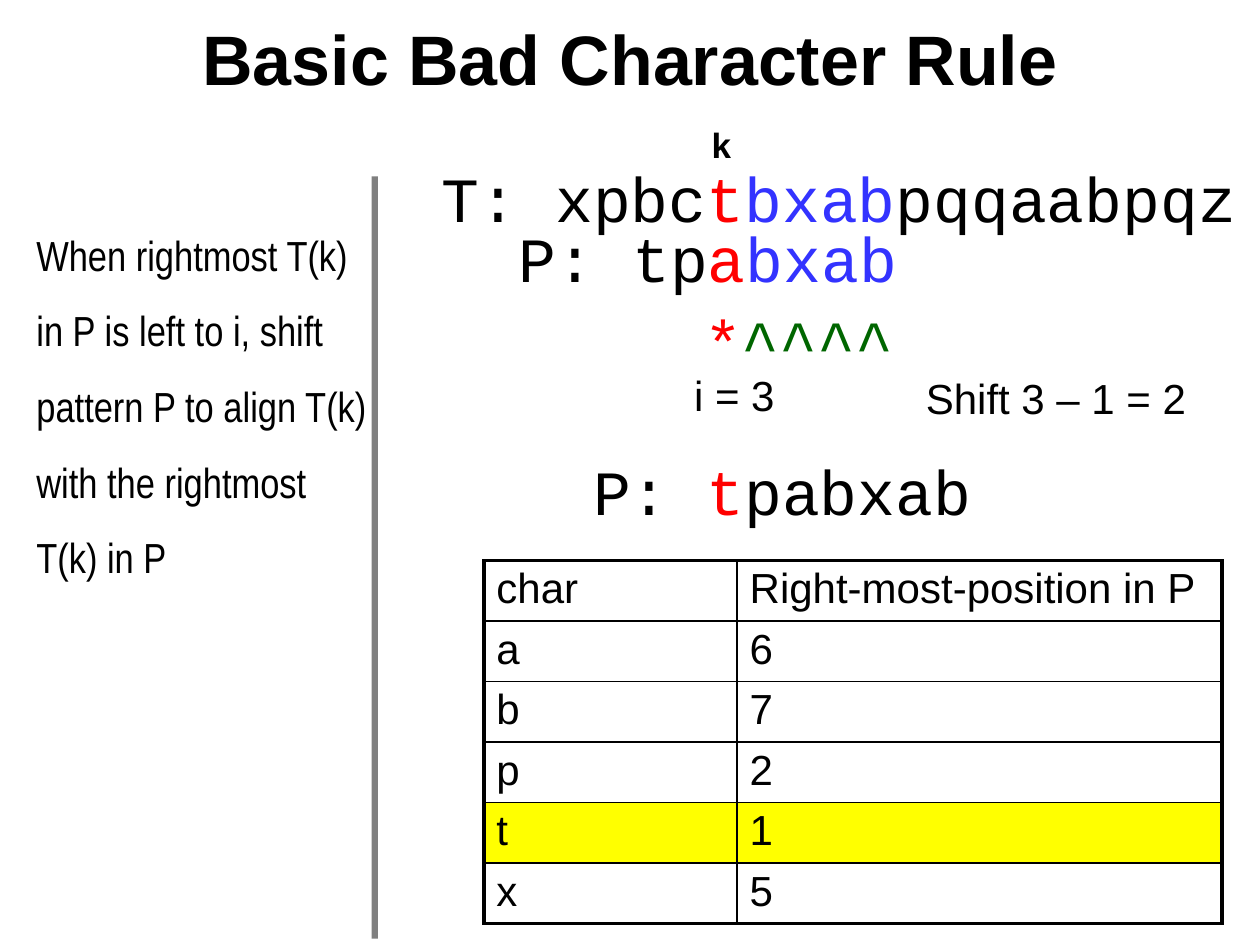
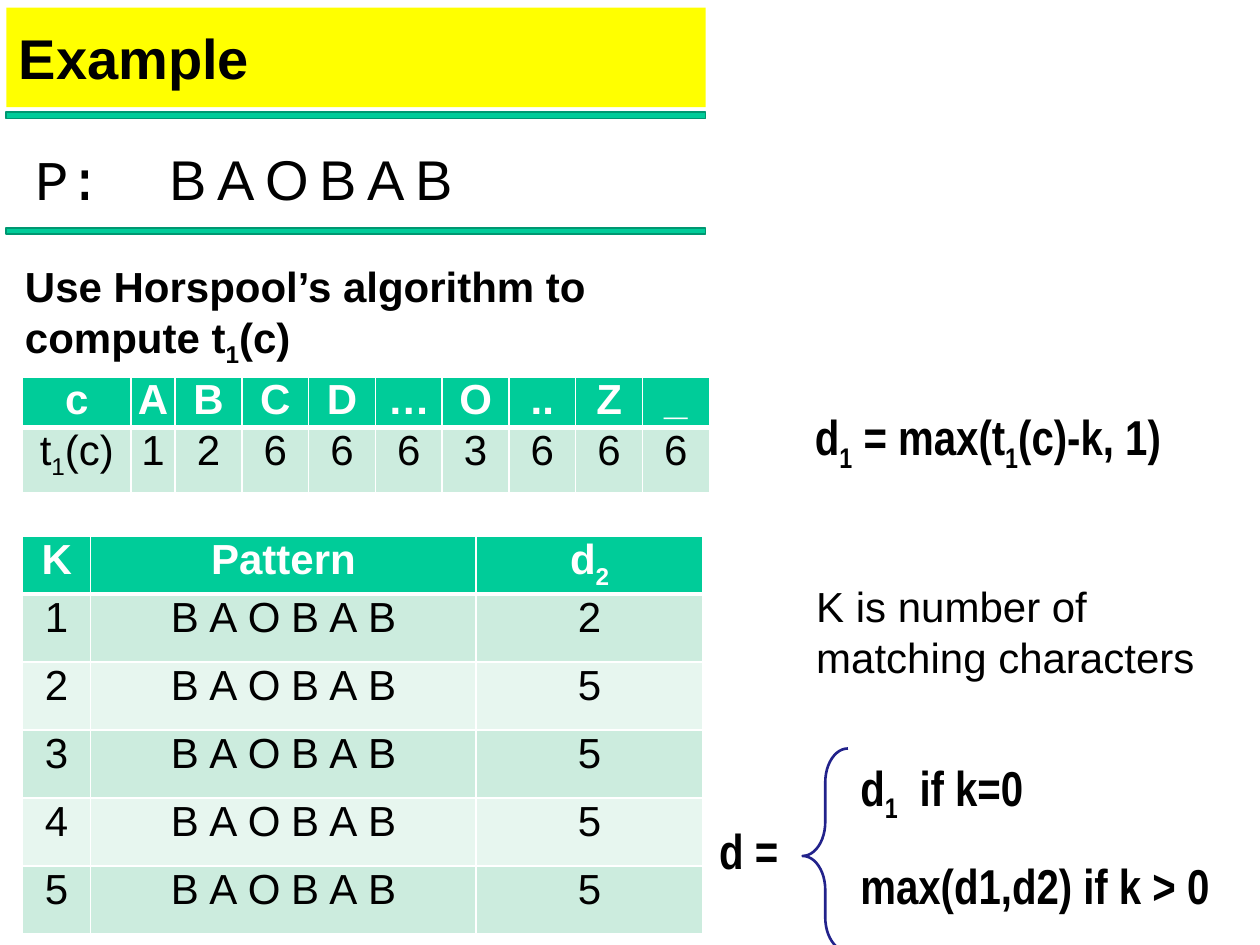
from lxml.etree import SubElement as Sub
from pptx import Presentation
from pptx.dml.color import RGBColor
from pptx.enum.shapes import MSO_SHAPE as Kind
from pptx.enum.text import MSO_ANCHOR as Anchor, PP_ALIGN as Align
from pptx.oxml.ns import qn
from pptx.util import Pt

PX = 9144

BLACK = RGBColor(0x00, 0x00, 0x00)
WHITE = RGBColor(0xFF, 0xFF, 0xFF)
RED = RGBColor(0xFF, 0x00, 0x00)
BLUE = RGBColor(0x33, 0x33, 0xFF)
GREEN = RGBColor(0x00, 0x66, 0x00)
GREY = RGBColor(0x80, 0x80, 0x80)
YELLOW = RGBColor(0xFF, 0xFF, 0x00)
TEAL = RGBColor(0x00, 0xCC, 0x99)
EDGE = RGBColor(0x00, 0x97, 0x71)
MINT = RGBColor(0xCC, 0xEC, 0xDE)
PALE = RGBColor(0xE7, 0xF6, 0xEF)
NAVY = RGBColor(0x22, 0x22, 0x8B)

BODY = {"name": "Arial", "size": 24, "color": BLACK}
BOLD = BODY | {"bold": True}
TITLE = BOLD | {"size": 40}
HEAD = BOLD | {"color": WHITE}
CODE = BODY | {"name": "Courier New", "size": 36}
SLIM = BODY | {"name": "Arial Narrow"}
RULE = SLIM | {"size": 28, "bold": True}
LOW = {"baseline": -25000}
WIDE = {"spc": 600}


class Deck:
    def __init__(self):
        self.prs = Presentation()
        self.prs.slide_width = 1000 * PX
        self.prs.slide_height = 750 * PX
        self.page = None

    def new(self):
        self.page = self.prs.slides.add_slide(self.prs.slide_layouts[6]).shapes

    def fill_in(self, para, runs, look):
        if isinstance(runs, str):
            runs = [(runs, {})]
        for text, more in runs:
            run = para.add_run()
            run.text = text
            for key, val in (look | more).items():
                if key == "color":
                    run.font.color.rgb = val
                elif key in ("spc", "baseline"):
                    run._r.get_or_add_rPr().set(key, str(val))
                else:
                    setattr(run.font, key, Pt(val) if key == "size" else val)

    def text(self, box, runs, look=BODY, tab=None, **form):
        frame = self.page.add_textbox(*(n * PX for n in box)).text_frame
        frame.word_wrap = True
        frame.vertical_anchor = form.pop("anchor", Anchor.TOP)
        para = frame.paragraphs[0]
        if tab:
            tabs = Sub(para._p.get_or_add_pPr(), qn("a:tabLst"))
            Sub(tabs, qn("a:tab"), pos=str(tab * PX), algn="l")
        for key, val in form.items():
            setattr(para, key, val)
        self.fill_in(para, runs, look)

    def shape(self, box, kind=Kind.RECTANGLE, fill=None, line=None, width=1):
        item = self.page.add_shape(kind, *(n * PX for n in box))
        item.shadow.inherit = False
        if fill is None:
            item.fill.background()
        else:
            item.fill.solid()
            item.fill.fore_color.rgb = fill
        if line is None:
            item.line.fill.background()
        else:
            item.line.color.rgb = line
            item.line.width = Pt(width)
        return item

    def edge(self, cell, side, color, width):
        line = Sub(cell._tc.get_or_add_tcPr(), qn("a:ln" + side), w=str(Pt(width)))
        Sub(Sub(line, qn("a:solidFill")), qn("a:srgbClr"), val=str(color))

    def grid(self, left, top, cols, tall, rows, style):
        box = left, top, sum(cols), sum(tall)
        table = self.page.add_table(
            len(rows), len(cols), *(n * PX for n in box)).table
        table.first_row = table.horz_banding = False
        for col, size in zip(table.columns, cols):
            col.width = size * PX
        for r, row in enumerate(rows):
            table.rows[r].height = tall[r] * PX
            for c, runs in enumerate(row):
                cell = table.cell(r, c)
                look, fill, align, pads, color, lines = style(
                    r, c, len(rows) - 1, len(cols) - 1)
                for side, width in zip("LRTB", lines):
                    self.edge(cell, side, color, width)
                if fill is None:
                    cell.fill.background()
                else:
                    cell.fill.solid()
                    cell.fill.fore_color.rgb = fill
                for side, pad in zip(("left", "right", "top", "bottom"), pads):
                    setattr(cell, "margin_" + side, pad * PX)
                para = cell.text_frame.paragraphs[0]
                para.alignment = align
                self.fill_in(para, runs, look)


def framed(r, c, end, last):
    lines = [2.25 if out else 1 for out in (c == 0, c == last, r == 0, r == end)]
    fill = YELLOW if r == 4 else None
    return BODY, fill, Align.LEFT, (10, 10, 4, 4), BLACK, lines


def banded(r, c, end, last):
    fill = TEAL if r == 0 else MINT if r % 2 else PALE
    lines = (1, 1, 1, 1 if r else 3)
    return BODY if r else HEAD, fill, Align.CENTER, (0,) * 4, WHITE, lines


def bad_rule(deck):
    deck.new()
    deck.text((50, 11, 900, 70), "Basic Bad Character Rule", TITLE,
              anchor=Anchor.MIDDLE, alignment=Align.CENTER)
    rows = [("char", "Right-most-position in P"),
            *zip("abptx", "67215")]
    deck.grid(384, 445, (201, 385), (47,) * 6, rows, framed)

    red, blue = {"color": RED}, {"color": BLUE}
    deck.text((341, 122, 657, 71), [("T: xpbc", {}), ("t", red), ("bxab", blue),
                                    ("pqqaabpqz", {})], CODE)
    deck.text((402, 169, 330, 71), [("P: tp", {}), ("a", red), ("bxab", blue)],
              CODE)
    deck.text((549, 235, 180, 71), [("*", red), ("^^^^", {"color": GREEN})], CODE)
    deck.text((461, 354, 330, 71), [("P: ", {}), ("t", red), ("pabxab", {})], CODE)
    deck.text((19, 157, 285, 305),
              "When rightmost T(k) in P is left to i, shift pattern P "
              "to align T(k) with the rightmost T(k) in P",
              SLIM, line_spacing=1.5)
    deck.text((555, 93, 40, 44), "k", BOLD | {"size": 20})
    deck.text((541, 288, 95, 50), "i = 3")
    deck.text((725, 291, 240, 50), "Shift 3 – 1 = 2")
    deck.shape((295, 140, 5, 605), fill=GREY)


def example(deck):
    deck.new()
    deck.shape((5, 6, 555, 79), fill=YELLOW)
    deck.text((5, 6, 555, 79), "Example", TITLE | {"size": 32},
              anchor=Anchor.MIDDLE)
    for top in (89, 181):
        deck.shape((5, top, 555, 5), fill=TEAL, line=EDGE)
    deck.text((18, 110, 380, 64),
              [("P:\t", {}), ("BAOBAB", {"name": "Arial"} | WIDE)],
              CODE | {"size": 32}, tab=107)
    deck.text((10, 202, 540, 91), [("Use Horspool’s algorithm to compute t", {}),
                                   ("1", LOW), ("(c)", {})], BOLD)

    shift = [("t", {}), ("1", LOW), ("(c)", {})]
    deck.grid(18, 299, (86, 35) + (53,) * 8, (26, 52),
              [("c", *"ABCD", "…", "O", "..", "Z", "_"),
               (shift, *"126663666")], banded)
    rows = [("K", "Pattern", [("d", {}), ("2", LOW)])]
    rows += [(k, [("BAOBAB", WIDE)], d) for k, d in zip("12345", "25555")]
    deck.grid(18, 426, (54, 306, 180), (38,) + (54,) * 5, rows, banded)

    deck.text((637, 318, 340, 57), [("d", {}), ("1", LOW), (" = max(t", {}),
                                    ("1", LOW), ("(c)-k, 1)", {})], RULE)
    deck.text((638, 456, 376, 91), "K is number of matching characters")
    deck.text((561, 646, 76, 57), "d =", RULE)
    brace = deck.shape((637, 594, 36, 161), Kind.LEFT_BRACE, line=NAVY, width=1.5)
    brace.adjustments[0] = 0.75
    brace.adjustments[1] = 0.53
    deck.text((673, 596, 200, 57), [("d", {}), ("1", LOW), ("\tif k=0", {})],
              RULE, tab=47)
    deck.text((673, 674, 322, 57), "max(d1,d2) if k > 0", RULE)


def main():
    deck = Deck()
    bad_rule(deck)
    example(deck)
    deck.prs.save("out.pptx")


if __name__ == "__main__":
    main()
